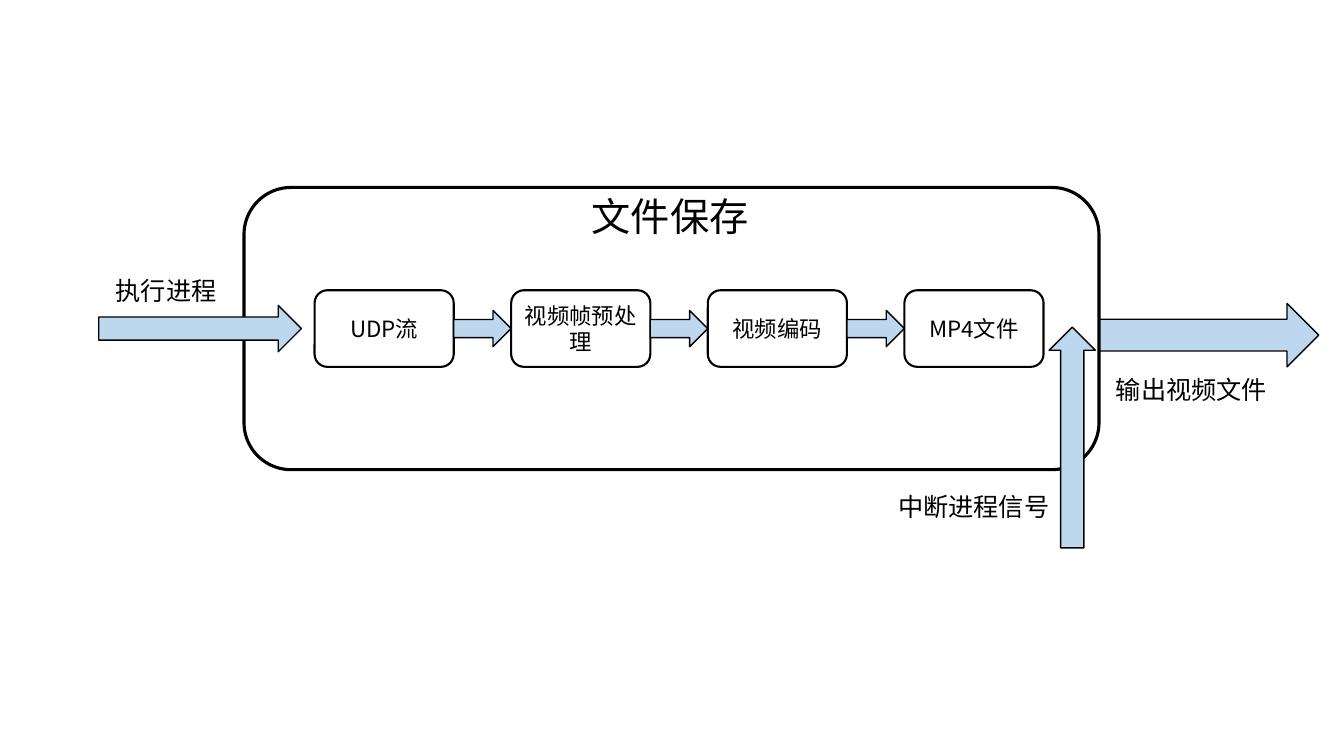
from dataclasses import dataclass

from lxml import etree
from pptx import Presentation
from pptx.dml.color import RGBColor
from pptx.enum.shapes import MSO_SHAPE
from pptx.enum.text import MSO_ANCHOR, MSO_AUTO_SIZE, PP_ALIGN
from pptx.oxml.ns import qn
from pptx.util import Inches, Pt


@dataclass(frozen=True)
class Theme:
    font: str = "Noto Sans CJK SC"
    ink: RGBColor = RGBColor(0x00, 0x00, 0x00)
    arrow_fill: RGBColor = RGBColor(0xBD, 0xD7, 0xEE)
    title_size: int = 28
    label_size: int = 18
    step_size: int = 16
    frame_line: float = 2.25
    step_line: float = 1.5
    arrow_line: float = 1


THEME = Theme()

STEPS = ["UDP流", "视频帧预处理", "视频编码", "MP4文件"]
STEP_LEFT, STEP_TOP, STEP_WIDTH, STEP_HEIGHT = 3.12, 2.88, 1.38, 0.76
STEP_GAP = 0.57
LINK_HEIGHT = 0.36


def write_text(frame, text, size, align=PP_ALIGN.LEFT, anchor=MSO_ANCHOR.TOP, wrap=False):
    frame.word_wrap = wrap
    frame.vertical_anchor = anchor
    paragraph = frame.paragraphs[0]
    paragraph.alignment = align
    run = paragraph.add_run()
    run.text = text
    run.font.size = Pt(size)
    run.font.color.rgb = THEME.ink
    run.font.name = THEME.font
    east_asian = etree.SubElement(run.font._element, qn("a:ea"))
    east_asian.set("typeface", THEME.font)


def add_outlined(slide, preset, box, line_width, fill=None):
    outlined = slide.shapes.add_shape(preset, *map(Inches, box))
    outlined.shadow.inherit = False
    if fill is None:
        outlined.fill.background()
    else:
        outlined.fill.solid()
        outlined.fill.fore_color.rgb = fill
    outlined.line.color.rgb = THEME.ink
    outlined.line.width = Pt(line_width)
    return outlined


def add_arrow(slide, *box, rotation=0):
    arrow = add_outlined(slide, MSO_SHAPE.RIGHT_ARROW, box, THEME.arrow_line, THEME.arrow_fill)
    arrow.rotation = rotation


def add_step(slide, text, left):
    step = add_outlined(slide, MSO_SHAPE.ROUNDED_RECTANGLE,
                        (left, STEP_TOP, STEP_WIDTH, STEP_HEIGHT), THEME.step_line)
    write_text(step.text_frame, text, THEME.step_size,
               align=PP_ALIGN.CENTER, anchor=MSO_ANCHOR.MIDDLE, wrap=True)


def add_label(slide, text, *box):
    label = slide.shapes.add_textbox(*map(Inches, box))
    write_text(label.text_frame, text, THEME.label_size)
    label.text_frame.auto_size = MSO_AUTO_SIZE.SHAPE_TO_FIT_TEXT


def set_title(slide, text, left, top, width, height):
    title = slide.shapes.title
    title.left, title.top = Inches(left), Inches(top)
    title.width, title.height = Inches(width), Inches(height)
    write_text(title.text_frame, text, THEME.title_size)
    title.text_frame.auto_size = MSO_AUTO_SIZE.SHAPE_TO_FIT_TEXT


def add_pipeline(slide):
    """Lay out the steps in a row, with an arrow filling each gap."""
    link_top = STEP_TOP + (STEP_HEIGHT - LINK_HEIGHT) / 2
    for index, text in enumerate(STEPS):
        left = STEP_LEFT + index * (STEP_WIDTH + STEP_GAP)
        add_step(slide, text, left)
        if index:
            add_arrow(slide, left - STEP_GAP, link_top, STEP_GAP, LINK_HEIGHT)


def main():
    presentation = Presentation()
    presentation.slide_width = Inches(13.33)
    presentation.slide_height = Inches(7.5)
    title_only = presentation.slide_layouts[5]
    slide = presentation.slides.add_slide(title_only)

    set_title(slide, "文件保存", 5.77, 1.86, 1.79, 0.57)
    add_outlined(slide, MSO_SHAPE.ROUNDED_RECTANGLE, (2.42, 1.86, 8.48, 2.8), THEME.frame_line)
    add_pipeline(slide)

    add_arrow(slide, 0.98, 3.03, 2.01, 0.46)
    add_label(slide, "执行进程", 1.05, 2.68, 1.32, 0.4)
    add_arrow(slide, 9.54, 4.11, 2.19, 0.46, rotation=270)
    add_label(slide, "中断进程信号", 8.81, 4.83, 1.7, 0.4)
    add_arrow(slide, 10.91, 3.01, 2.17, 0.63)
    add_label(slide, "输出视频文件", 10.97, 3.66, 1.7, 0.4)

    presentation.save("out.pptx")


if __name__ == "__main__":
    main()
